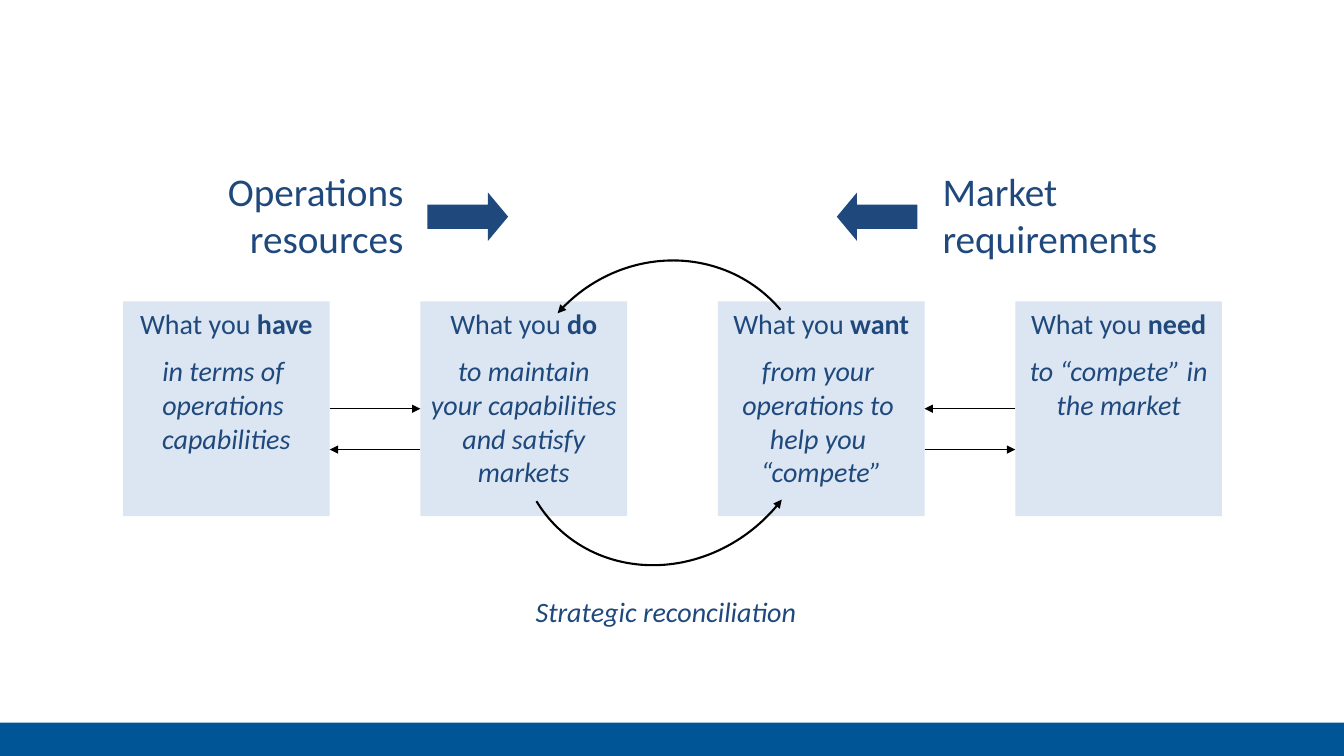
"""Build the slide on reconciling operations resources with market requirements."""
from lxml import etree
from pptx import Presentation
from pptx import util as u
from pptx.dml.color import RGBColor
from pptx.enum import shapes, text
from pptx.oxml.ns import qn

COLOURS = {"bar": "005596", "box": "DCE6F2", "ink": "1F497D", "line": "000000"}
STAGES = [
    ("have", "in terms of \noperations \ncapabilities"),
    ("do", "to maintain your capabilities and satisfy markets"),
    ("want", "from your \noperations to \nhelp you \n“compete”"),
    ("need", "to “compete” in the market"),
]
SIDES = [
    ("Operations resources", 1.55, text.PP_ALIGN.RIGHT, shapes.MSO_SHAPE.RIGHT_ARROW, 4.24),
    ("Market requirements", 9.25, text.PP_ALIGN.LEFT, shapes.MSO_SHAPE.LEFT_ARROW, 8.3),
]
MIDDLE_FLOWS = [(0, 1), (3, 2)]
LOWER_FLOWS = [(1, 0), (2, 3)]
LOOPS = [
    ((5.11, 2.62, 2.99, 2.85), 314.7, (159.836, 2.856)),
    ((5.06, 2.71, 3.09, 2.83), 134.7, (156.729, 7.138)),
]
CAPTION = "Strategic reconciliation"
BOX_LEFT, BOX_TOP, BOX_WIDTH, BOX_HEIGHT, BOX_PITCH = 1.22, 2.99, 2.05, 2.13, 2.95
LOWER_FLOW_Y = 4.46


def colour(name):
    return RGBColor.from_string(COLOURS[name])


def inches(*lengths):
    return [u.Inches(length) for length in lengths]


def add_block(slide, preset, place, fill):
    block = slide.shapes.add_shape(preset, *inches(*place))
    block.shadow.inherit = False
    block.line.fill.background()
    block.fill.solid()
    block.fill.fore_color.rgb = colour(fill)
    return block


def prepare_frame(frame, wrap=True):
    for key, value in {"word_wrap": wrap, "vertical_anchor": text.MSO_ANCHOR.TOP}.items():
        setattr(frame, key, value)
    return frame.paragraphs[0]


def format_runs(paragraph, size, align, italic=False):
    paragraph.alignment = align
    look = {"name": "Calibri", "size": u.Pt(size), "italic": italic}
    for run in paragraph.runs:
        for key, value in look.items():
            setattr(run.font, key, value)
        run.font.color.rgb = colour("ink")


def style_line(shape, width, arrow_end):
    shape.line.color.rgb = colour("line")
    shape.line.width = u.Pt(width)
    etree.SubElement(shape.line._get_or_add_ln(), qn(f"a:{arrow_end}"), type="triangle")


def add_stage(slide, index, verb, detail):
    place = (BOX_LEFT + index * BOX_PITCH, BOX_TOP, BOX_WIDTH, BOX_HEIGHT)
    stage = add_block(slide, shapes.MSO_SHAPE.RECTANGLE, place, "box")
    heading = prepare_frame(stage.text_frame)
    heading.add_run().text = "What you "
    key_word = heading.add_run()
    key_word.text = verb
    key_word.font.bold = True
    format_runs(heading, 20, text.PP_ALIGN.CENTER)
    body = stage.text_frame.add_paragraph()
    body.text = detail
    body.space_before = u.Pt(10)
    format_runs(body, 20, text.PP_ALIGN.CENTER, italic=True)
    return stage


def add_flow(slide, source, target, y=None):
    rightward = source.left < target.left
    start = source.left + source.width if rightward else source.left
    end = target.left if rightward else target.left + target.width
    level = source.top + source.height // 2 if y is None else u.Inches(y)
    flow = slide.shapes.add_connector(shapes.MSO_CONNECTOR.STRAIGHT, start, level, end, level)
    if y is None:
        flow.begin_connect(source, 3 if rightward else 1)
        flow.end_connect(target, 1 if rightward else 3)
    style_line(flow, 0.75, "tailEnd")
    etree.SubElement(flow._element.spPr, qn("a:effectLst"))


def add_loop(slide, place, rotation, angles):
    loop = slide.shapes.add_shape(shapes.MSO_SHAPE.ARC, *inches(*place))
    loop.fill.background()
    loop.rotation = rotation
    for index, angle in enumerate(angles):
        loop.adjustments[index] = angle
    style_line(loop, 1.5, "headEnd")
    loop.shadow.inherit = False


def add_label(slide, words, place, size, align, italic=False, wrap=True):
    label = prepare_frame(slide.shapes.add_textbox(*inches(*place)).text_frame, wrap)
    label.text = words
    format_runs(label, size, align, italic)
    return label


def main():
    deck = Presentation()
    deck.slide_width, deck.slide_height = inches(13.33, 7.5)
    slide = deck.slides.add_slide(deck.slide_layouts[6])
    add_block(slide, shapes.MSO_SHAPE.RECTANGLE, (0, 7.17, 13.33, 0.33), "bar")
    stages = [add_stage(slide, index, *stage) for index, stage in enumerate(STAGES)]
    for words, label_left, align, arrow, arrow_left in SIDES:
        add_label(slide, words, (label_left, 1.61, 2.55, 1.03), 28, align)
        pointer = add_block(slide, arrow, (arrow_left, 1.91, 0.8, 0.48), "ink")
        pointer.adjustments[1] = 0.417
    for flows, y in ((MIDDLE_FLOWS, None), (LOWER_FLOWS, LOWER_FLOW_Y)):
        for source, target in flows:
            add_flow(slide, stages[source], stages[target], y)
    for loop in LOOPS:
        add_loop(slide, *loop)
    caption = add_label(slide, CAPTION, (5.2, 5.91, 2.81, 0.38), 20,
                        text.PP_ALIGN.CENTER, italic=True, wrap=False)
    caption.line_spacing = 0.8
    deck.save("out.pptx")


if __name__ == "__main__":
    main()
